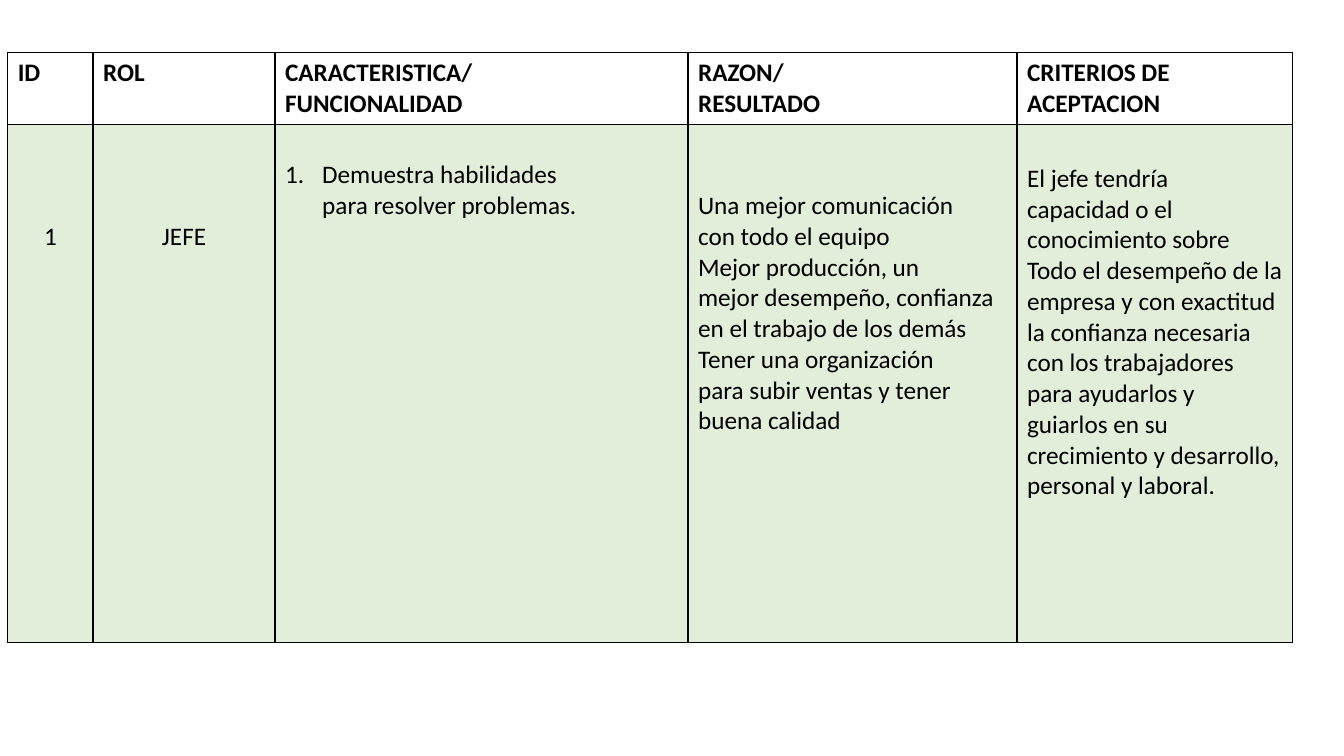
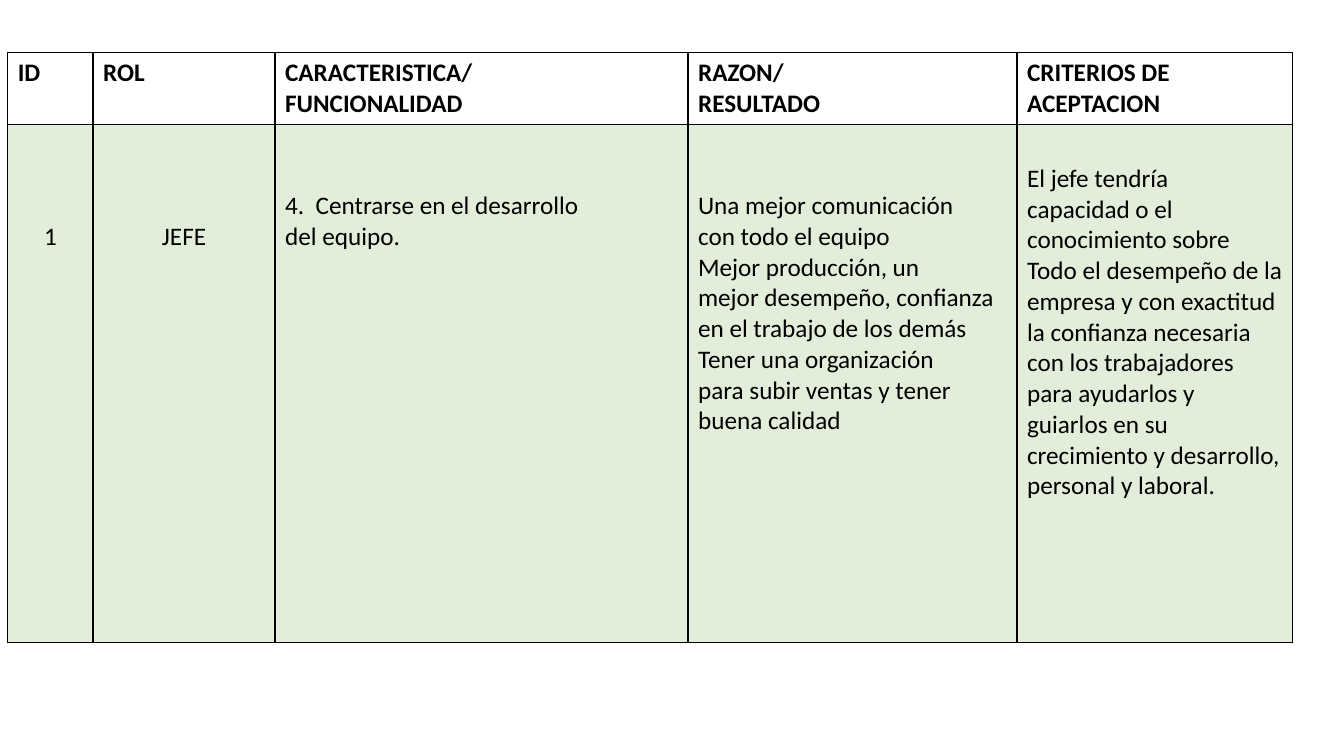
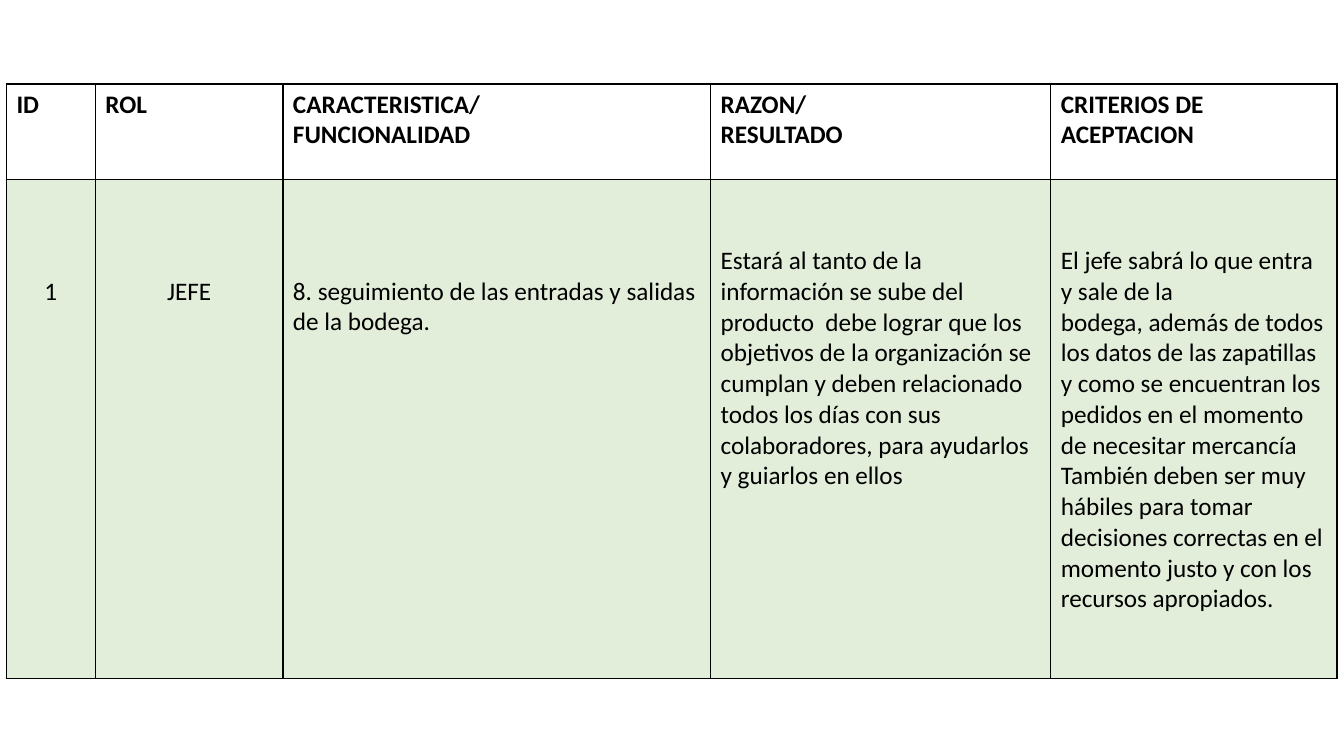
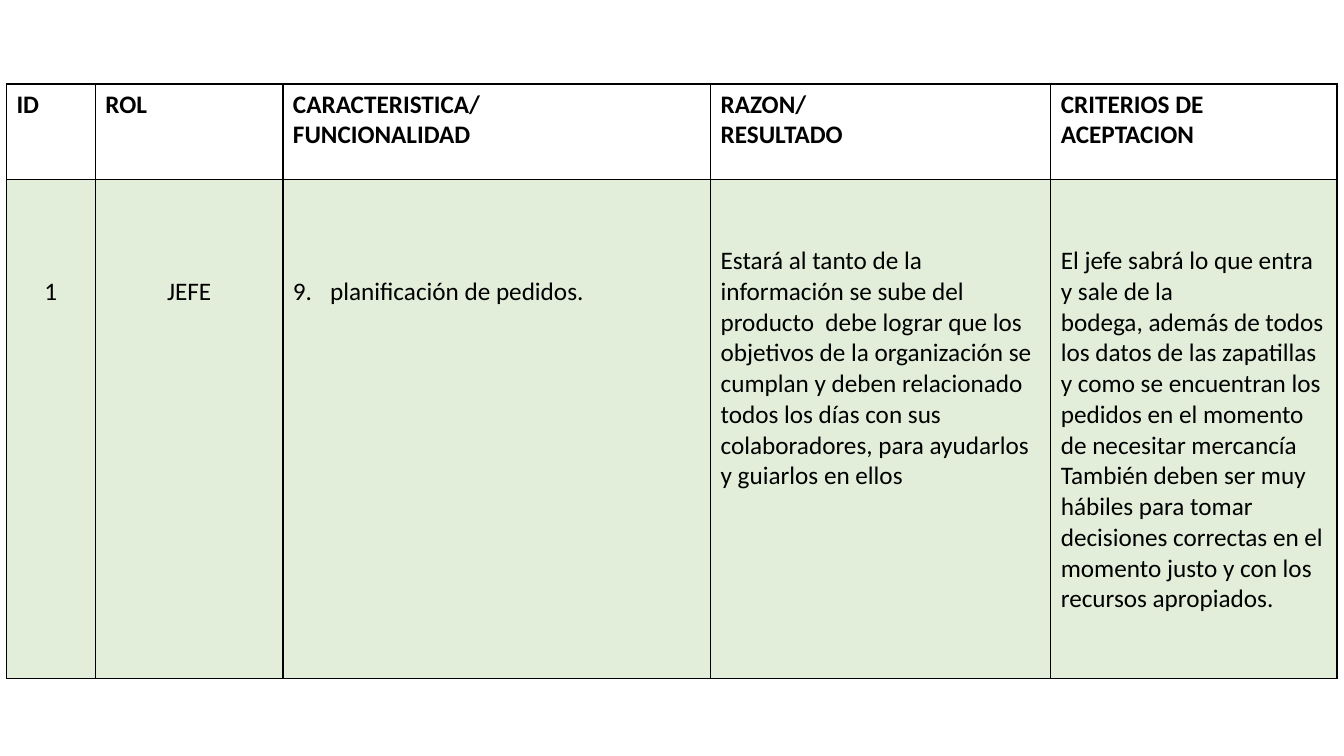
from lxml.etree import SubElement as Sub
from pptx import Presentation
from pptx.dml.color import RGBColor as RGB
from pptx.enum.text import PP_ALIGN as Align
from pptx.oxml.ns import qn
from pptx.util import Pt

HUE = {"ink": "000000", "head": "FFFFFF", "body": "70AD47"}
FONT, SIZE, LINE, PAD = "Calibri", 18, 21.9, 3.6
TIE, HARD = "~", chr(160)
HEADS = ["ID", "ROL", "CARACTERISTICA/\nFUNCIONALIDAD", "RAZON/\nRESULTADO",
         "CRITERIOS DE ACEPTACION"]

TEAM = {
    "at": (5.5, 37.5),
    "cols": [61, 130, 295, 235, 197],
    "rows": [51, 370],
    "why": "Una mejor comunicación con~todo el equipo\n"
           "Mejor producción, un mejor~desempeño, confianza en el~trabajo de los demás\n"
           "Tener una organización para~subir ventas y tener buena~calidad",
    "goal": "El jefe tendría capacidad~o el conocimiento sobre\n"
            "Todo el desempeño de~la empresa y con~exactitud la confianza~"
            "necesaria con los~trabajadores\n"
            "para ayudarlos y guiarlos~en su crecimiento y~desarrollo, "
            "personal y~laboral.",
    "drop": 24.4,
}
STOCK = {
    "at": (4.6, 60),
    "cols": [63.5, 134, 305.5, 243, 204.5],
    "rows": [68, 356.5],
    "why": "Estará al tanto de la información se sube del producto~~debe lograr que "
           "los objetivos de la organización se cumplan y deben relacionado todos "
           "los días con sus colaboradores, para ayudarlos y guiarlos en ellos",
    "goal": "El jefe sabrá~lo que entra y sale de la bodega,~además de todos los "
            "datos de las zapatillas y como se encuentran los pedidos en el momento "
            "de necesitar mercancía\n"
            "También deben ser muy hábiles para tomar decisiones correctas en el "
            "momento justo y con los recursos apropiados.",
    "drop": 2 * LINE,
}
SLIDES = [
    (TEAM, "Demuestra habilidades para~resolver problemas.", 1, LINE),
    (TEAM, "4.~ Centrarse en el desarrollo del~equipo.", None, 2 * LINE),
    (STOCK, "8. seguimiento de las entradas y salidas de la bodega.", None, 3 * LINE),
    (STOCK, "planificación de pedidos.", 9, 3 * LINE),
]


def number(para, start):
    props = para._p.get_or_add_pPr()
    props.set("marL", str(Pt(26.5)))
    props.set("indent", str(-Pt(26.5)))
    Sub(props, qn("a:buFont"), typeface="+mj-lt")
    Sub(props, qn("a:buAutoNum"), type="arabicPeriod", startAt=str(start))


def write(cell, text, fill, drop=0, bold=False, align=Align.LEFT, start=None):
    cell.margin_top = Pt(PAD + drop)
    props = cell._tc.get_or_add_tcPr()
    for side in "LRTB":
        edge = Sub(props, qn(f"a:ln{side}"), w=str(Pt(1)))
        Sub(Sub(edge, qn("a:solidFill")), qn("a:srgbClr"), val=HUE["ink"])
    cell.fill.solid()
    cell.fill.fore_color.rgb = RGB.from_string(HUE[fill])
    if fill == "body":
        Sub(props.find(qn("a:solidFill"))[0], qn("a:alpha"), val="20000")
    cell.text_frame.text = text.replace(TIE, HARD)
    for para in cell.text_frame.paragraphs:
        if start:
            number(para, start)
        para.alignment = align
        font = para.font
        font.name, font.size, font.bold = FONT, Pt(SIZE), bold
        font.color.rgb = RGB.from_string(HUE["ink"])


deck = Presentation()
deck.slide_width, deck.slide_height = Pt(960), Pt(540)

for kind, task, start, drop in SLIDES:
    slide = deck.slides.add_slide(deck.slide_layouts[6])
    left, top = kind["at"]
    cols, rows = kind["cols"], kind["rows"]
    frame = slide.shapes.add_table(len(rows), len(cols), Pt(left), Pt(top),
                                   Pt(sum(cols)), Pt(sum(rows)))
    table = frame.table
    table.first_row = table.horz_banding = False
    for col, width in zip(table.columns, cols):
        col.width = Pt(width)
    for row, height in zip(table.rows, rows):
        row.height = Pt(height)
    for i, head in enumerate(HEADS):
        write(table.cell(0, i), head, "head", bold=True)
    for i, text in enumerate(["1", "JEFE"]):
        write(table.cell(1, i), text, "body", 3 * LINE, align=Align.CENTER)
    write(table.cell(1, 2), task, "body", drop, start=start)
    write(table.cell(1, 3), kind["why"], "body", 2 * LINE)
    write(table.cell(1, 4), kind["goal"], "body", kind["drop"])

deck.save("out.pptx")
